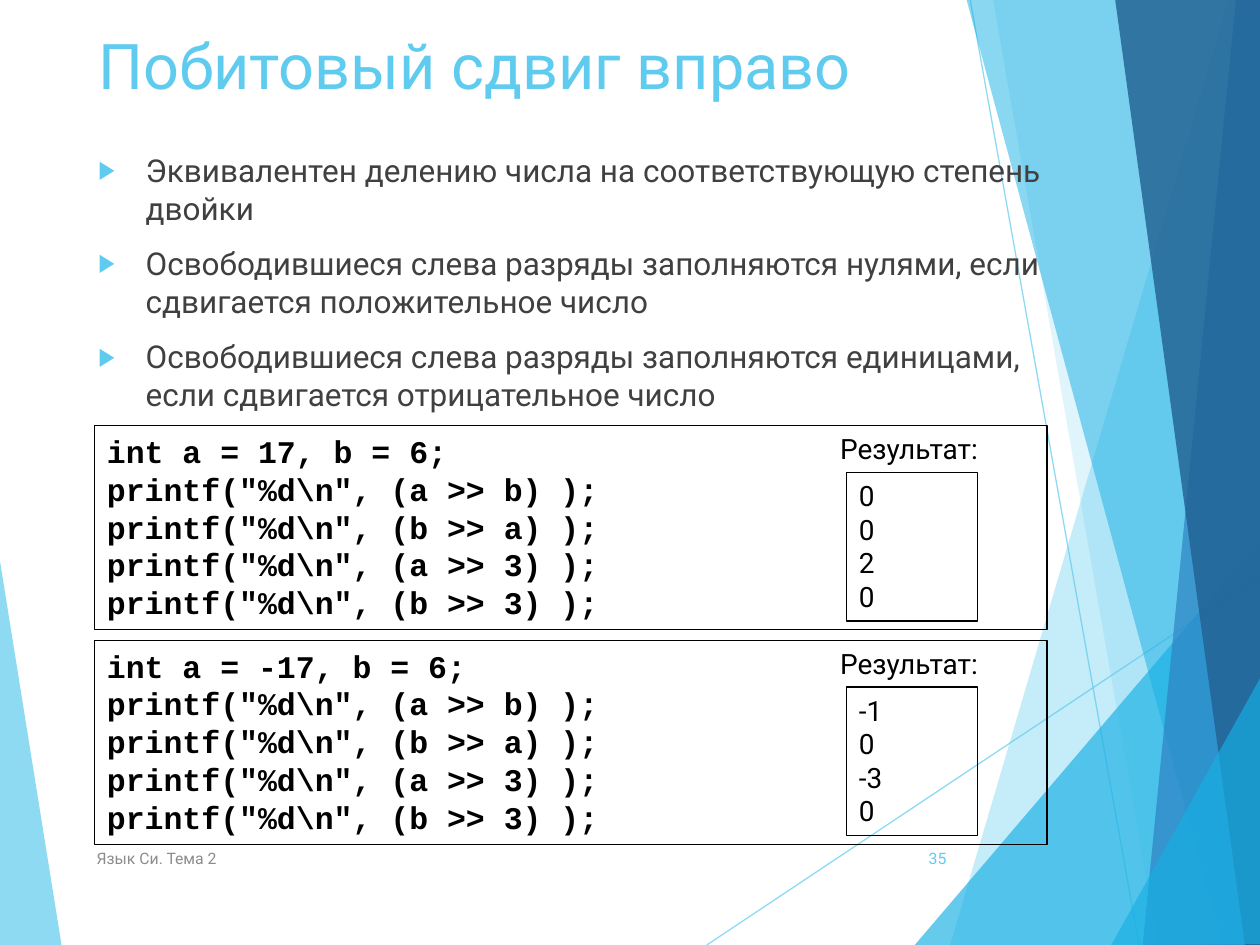
from dataclasses import dataclass

from lxml.etree import SubElement
from pptx import Presentation
from pptx.dml.color import RGBColor
from pptx.enum.shapes import MSO_CONNECTOR, MSO_SHAPE
from pptx.enum.text import MSO_ANCHOR, MSO_AUTO_SIZE, PP_ALIGN
from pptx.oxml.ns import qn
from pptx.util import Pt


@dataclass(frozen=True)
class Theme:
    """Fonts, colours and type sizes of the deck."""
    text_font: str = "Roboto"
    code_font: str = "Courier New"
    sky: str = "5FCBEF"
    cyan: str = "17B0E4"
    blue: str = "2E83C3"
    navy: str = "226292"
    body: str = "404040"
    muted: str = "8C8C8C"
    black: str = "000000"
    title_size: int = 36
    body_size: int = 18
    result_size: int = 16
    footer_size: int = 9
    hairline: float = 0.75


THEME = Theme()

# Outline points, colour, opacity in percent
LEFT_SHARD = ([(-0.7, 316.1), (35.3, 540.7), (-0.7, 540)], THEME.sky, 70)
RIGHT_SHARDS = [
    ([(702, 0), (542.9, 540), (721.4, 540.7), (720.7, 0.7)], THEME.sky, 36),
    ([(567.4, -0.7), (661.7, 540), (720.7, 540), (720.7, -0.7)], THEME.sky, 20),
    ([(522.7, 540), (720, 308.9), (720.7, 540)], THEME.cyan, 66),
    ([(552.2, -0.7), (698.4, 540), (720.7, 539.3), (720.7, -0.7)], THEME.cyan, 50),
    ([(706.3, -0.7), (653, 540), (720.7, 540), (720, -0.7)], THEME.blue, 70),
    ([(637.2, -0.7), (711.4, 540), (721.4, 540), (720, -0.7)], THEME.navy, 82),
    ([(635, 540), (721.4, 385.2), (721.4, 539.3)], THEME.cyan, 66),
]
RAYS = [(403.9, 540, 720.7, 329), (554.4, 0, 650.9, 540)]

POINTS = [
    "Эквивалентен делению числа на соответствующую степень двойки",
    "Освободившиеся слева разряды заполняются нулями, если сдвигается положительное число",
    "Освободившиеся слева разряды заполняются единицами, если сдвигается отрицательное число",
]
SHIFTS = ["a >> b", "b >> a", "a >> 3", "b >> 3"]
EXAMPLES = [(17, [0, 0, 2, 0]), (-17, [-1, 0, -3, 0])]


def set_opacity(element, percent):
    """Make the solid colours inside an element partly transparent."""
    for colour in element.iter(qn("a:srgbClr")):
        SubElement(colour, qn("a:alpha"), val=str(percent * 1000))


def write(shape, lines, size, colour, font=THEME.text_font, bold=False,
          align=PP_ALIGN.LEFT, anchor=MSO_ANCHOR.TOP):
    """Fill a shape with one evenly formatted paragraph per line."""
    frame = shape.text_frame
    frame.word_wrap = True
    frame.auto_size = MSO_AUTO_SIZE.NONE
    frame.vertical_anchor = anchor
    frame.text = "\n".join(lines)
    for paragraph in frame.paragraphs:
        paragraph.alignment = align
        paragraph.font.name = font
        paragraph.font.size = Pt(size)
        paragraph.font.bold = bold
        paragraph.font.color.rgb = RGBColor.from_string(colour)


def place(shape, box):
    """Move a placeholder to a box and in front of what is drawn so far."""
    shape.left, shape.top, shape.width, shape.height = map(Pt, box)
    shape.element.getparent().append(shape.element)


def add_label(slide, box, text, size, colour, **style):
    """Add a single-line text box."""
    write(slide.shapes.add_textbox(*map(Pt, box)), [text], size, colour, **style)


def add_frame(slide, box, lines, size, **style):
    """Add a thin outlined box with text."""
    frame = slide.shapes.add_shape(MSO_SHAPE.RECTANGLE, *map(Pt, box))
    frame.shadow.inherit = False
    frame.fill.background()
    frame.line.color.rgb = RGBColor.from_string(THEME.black)
    frame.line.width = Pt(THEME.hairline)
    write(frame, lines, size, THEME.black, **style)


def add_shard(slide, outline, colour, opacity):
    """Add one translucent polygon."""
    corners = [(Pt(x), Pt(y)) for x, y in outline]
    builder = slide.shapes.build_freeform(*corners[0], scale=1.0)
    builder.add_line_segments(corners[1:], close=True)
    shard = builder.convert_to_shape()
    shard.shadow.inherit = False
    shard.fill.solid()
    shard.fill.fore_color.rgb = RGBColor.from_string(colour)
    shard.line.fill.background()
    set_opacity(shard.element, opacity)


def add_ray(slide, ends):
    """Add one thin translucent line."""
    ray = slide.shapes.add_connector(MSO_CONNECTOR.STRAIGHT, *map(Pt, ends))
    ray.line.color.rgb = RGBColor.from_string(THEME.sky)
    ray.line.width = Pt(THEME.hairline)
    SubElement(ray.element.spPr, qn("a:effectLst"))
    set_opacity(ray.element, 70)


def add_backdrop(slide):
    """Draw the faceted background, back to front."""
    add_shard(slide, *LEFT_SHARD)
    for ends in RAYS:
        add_ray(slide, ends)
    for shard in RIGHT_SHARDS:
        add_shard(slide, *shard)


def fill_title(slide, box, text):
    """Set the slide title."""
    title = slide.shapes.title
    place(title, box)
    write(title, [text], THEME.title_size, THEME.sky)


def fill_points(slide, box, points):
    """Set the bulleted list with triangular markers."""
    body = slide.placeholders[1]
    place(body, box)
    write(body, points, THEME.body_size, THEME.body)
    for paragraph in body.text_frame.paragraphs:
        paragraph.space_before = Pt(10)
        properties = paragraph._p.get_or_add_pPr()
        properties.set("marL", str(Pt(27)))
        properties.set("indent", str(Pt(-27)))
        text_defaults = properties.find(qn("a:defRPr"))
        marker_colour = SubElement(properties, qn("a:buClr"))
        SubElement(marker_colour, qn("a:srgbClr"), val=THEME.sky)
        SubElement(properties, qn("a:buSzPct"), val="80000")
        SubElement(properties, qn("a:buChar"), char="▶")
        properties.append(text_defaults)


def add_example(slide, box, value, results):
    """Add a code listing with its printed results at the right."""
    left, top, width, height = box
    code = [f"int a = {value}, b = 6;"]
    code += [f'printf("%d\\n", ({shift}) );' for shift in SHIFTS]
    add_frame(slide, box, code, THEME.body_size, font=THEME.code_font, bold=True)
    add_label(slide, (left + width - 125.3, top, 110, 26.6), "Результат:",
              THEME.result_size, THEME.black)
    add_frame(slide, (left + width - 114.5, top + 26.6, 75, height - 31.6),
              [str(result) for result in results], THEME.result_size)


def add_footer(slide, box, text, number):
    """Add the course name and the slide number at the two ends of a strip."""
    left, top, width, height = box
    add_label(slide, (left, top, 364.3, height), text, THEME.footer_size,
              THEME.muted, anchor=MSO_ANCHOR.MIDDLE)
    add_label(slide, (left + width - 40.3, top, 40.3, height), number,
              THEME.footer_size, THEME.sky, align=PP_ALIGN.RIGHT,
              anchor=MSO_ANCHOR.MIDDLE)


def build_shift_slide(deck):
    """Build the slide on the right shift."""
    slide = deck.slides.add_slide(deck.slide_layouts[1])
    add_backdrop(slide)
    fill_title(slide, (49, 11.5, 500, 103.7), "Побитовый сдвиг вправо")
    fill_points(slide, (49, 82.8, 561, 155.5), POINTS)
    add_footer(slide, (48.2, 475.9, 499.7, 28.8), "Язык Си. Тема 2", "35")
    for row, (value, results) in enumerate(EXAMPLES):
        add_example(slide, (54, 243.3 + 122.6 * row, 544.3, 116.6), value, results)


deck = Presentation()
deck.slide_width, deck.slide_height = Pt(720), Pt(540)
build_shift_slide(deck)
deck.save("out.pptx")
